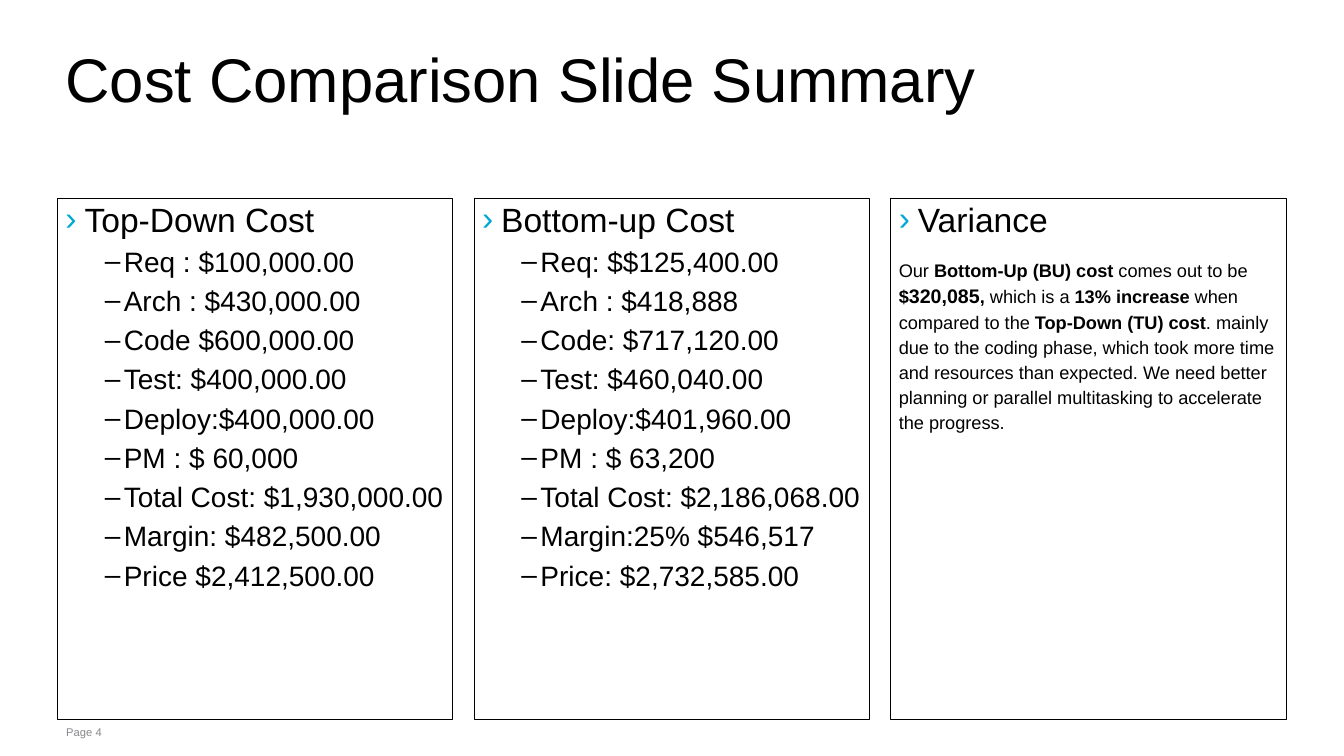
import pptx
import pptx.util
import pptx.dml.color
import pptx.enum.text
from dataclasses import dataclass
from lxml import etree
from pptx.oxml.ns import qn
from pptx.util import Cm, Pt


@dataclass(frozen=True)
class Theme:
    font: str = "Arial"
    ink: str = "000000"
    accent: str = "00A9D4"
    muted: str = "87888A"
    title: float = 44
    heading: float = 24
    item: float = 20
    emphasis: float = 14
    prose: float = 13
    footer: float = 8


theme = Theme()


def format_paragraph(paragraph, size, color=theme.ink, before=0, bullet=None,
                     bullet_color=theme.ink, margin=0.0, hanging=0.0):
    properties = paragraph._p.get_or_add_pPr()
    properties.set("marL", str(Cm(margin)))
    properties.set("indent", str(-Cm(hanging)))
    if bullet:
        bullet_fill = etree.SubElement(properties, qn("a:buClr"))
        etree.SubElement(bullet_fill, qn("a:srgbClr"), val=bullet_color)
        etree.SubElement(properties, qn("a:buFont"), typeface=theme.font)
        etree.SubElement(properties, qn("a:buChar"), char=bullet)
    else:
        etree.SubElement(properties, qn("a:buNone"))
    paragraph.alignment = pptx.enum.text.PP_ALIGN.LEFT
    paragraph.space_before = Pt(before)
    paragraph.font.name = theme.font
    paragraph.font.size = Pt(size)
    paragraph.font.bold = False
    paragraph.font.color.rgb = pptx.dml.color.RGBColor.from_string(color)


def place(shape, left, top, width, height, anchor, inset_y=0.0):
    shape.left, shape.top = Cm(left), Cm(top)
    shape.width, shape.height = Cm(width), Cm(height)
    frame = shape.text_frame
    frame.word_wrap = True
    frame.auto_size = pptx.enum.text.MSO_AUTO_SIZE.NONE
    frame.vertical_anchor = anchor
    frame.margin_left = frame.margin_right = Cm(0.2)
    frame.margin_top = frame.margin_bottom = Cm(inset_y)
    return frame


TOP = pptx.enum.text.MSO_ANCHOR.TOP
MIDDLE = pptx.enum.text.MSO_ANCHOR.MIDDLE

presentation = pptx.Presentation()
presentation.slide_width, presentation.slide_height = Cm(33.87), Cm(19.05)
slide = presentation.slides.add_slide(presentation.slide_layouts.get_by_name("Comparison"))

# Title
title = place(slide.shapes.title, 1.45, 0.66, 27.76, 3.02, MIDDLE)
title.text = "Cost Comparison Slide Summary"
format_paragraph(title.paragraphs[0], theme.title)
title.paragraphs[0].line_spacing = 0.75

# Three framed columns with their cost lines
columns = [
    ("Top-Down Cost", [
        "Req : $100,000.00", "Arch : $430,000.00", "Code $600,000.00",
        "Test: $400,000.00", "Deploy:$400,000.00", "PM : $ 60,000",
        "Total Cost: $1,930,000.00", "Margin: $482,500.00", "Price $2,412,500.00"]),
    ("Bottom-up Cost", [
        "Req: $$125,400.00", "Arch : $418,888", "Code: $717,120.00",
        "Test: $460,040.00", "Deploy:$401,960.00", "PM : $ 63,200",
        "Total Cost: $2,186,068.00", "Margin:25% $546,517", "Price: $2,732,585.00"]),
    ("Variance", []),
]
for number, (heading, costs) in enumerate(columns):
    column = slide.placeholders[number + 1]
    column_text = place(column, 1.45 + 10.5 * number, 5, 9.96, 13.13, TOP)
    column.line.color.rgb = pptx.dml.color.RGBColor.from_string(theme.ink)
    column.line.width = Pt(0.75)
    column_text.text = heading
    format_paragraph(column_text.paragraphs[0], theme.heading, bullet="›",
                     bullet_color=theme.accent, margin=0.48, hanging=0.48)
    for cost in costs:
        cost_line = column_text.add_paragraph()
        cost_line.text = cost
        cost_line.level = 1
        format_paragraph(cost_line, theme.item, before=4, bullet="–",
                         margin=1.47, hanging=0.48)

# Variance explanation, in the last column
explanation = column_text.add_paragraph()
format_paragraph(explanation, theme.prose, before=12)
explanation.line_spacing = 1.15
for words, bold, size in [
    ("Our ", False, theme.prose),
    ("Bottom-Up (BU) cost", True, theme.prose),
    (" comes out to be ", False, theme.prose),
    ("$", True, theme.prose),
    ("320,085", True, theme.emphasis),
    (", ", True, theme.prose),
    ("which is a ", False, theme.prose),
    ("13% increase", True, theme.prose),
    (" when compared to the ", False, theme.prose),
    ("Top-Down (TU) cost", True, theme.prose),
    (". mainly due to the coding phase, which took more time and resources than "
     "expected. We need better planning or parallel multitasking to accelerate "
     "the progress.", False, theme.prose),
]:
    phrase = explanation.add_run()
    phrase.text = words
    phrase.font.bold = bold
    phrase.font.size = Pt(size)

# The layout's fourth body placeholder is not needed
spare = slide.placeholders[4].element
spare.getparent().remove(spare)

# Page number
page_box = slide.shapes.add_textbox(0, 0, 0, 0)
page = place(page_box, 1.47, 18.14, 27.41, 0.61, TOP, inset_y=0.13)
page.text = "Page 4"
format_paragraph(page.paragraphs[0], theme.footer, color=theme.muted)

presentation.save("out.pptx")
